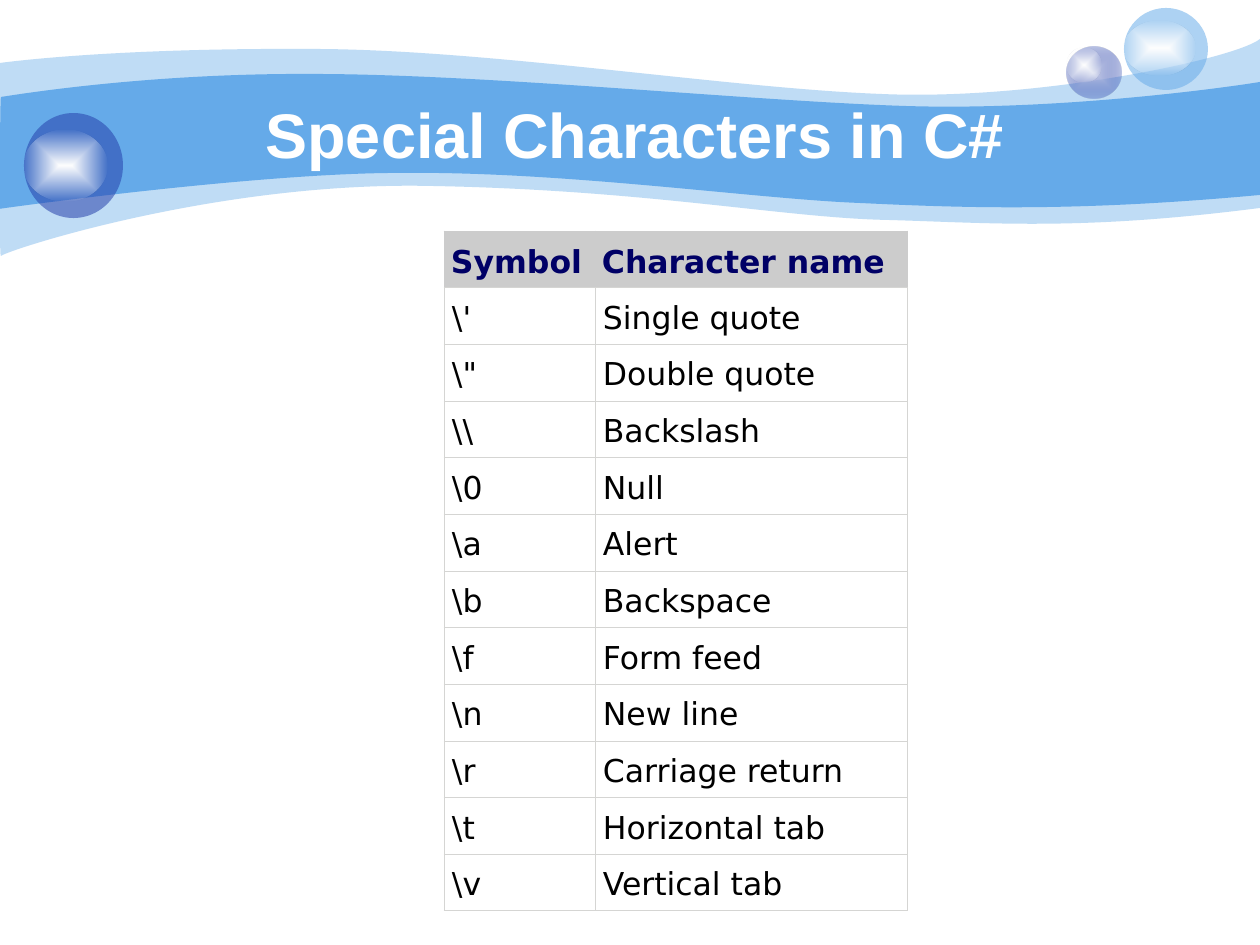
import pptx
import pptx.dml.color
import pptx.enum.shapes
import pptx.enum.text
import pptx.oxml.ns
import pptx.util
from lxml import etree

RGBColor = pptx.dml.color.RGBColor
qn = pptx.oxml.ns.qn
ANCHOR = pptx.enum.text.MSO_ANCHOR

SKY = RGBColor(0x65, 0xAA, 0xE9)
ROYAL = RGBColor(0x23, 0x3D, 0xA9)
LAVENDER = RGBColor(0xC7, 0xCE, 0xE9)
WHITE = RGBColor(0xFF, 0xFF, 0xFF)
BLACK = RGBColor(0x00, 0x00, 0x00)
NAVY = RGBColor(0x00, 0x00, 0x66)
HEADER_GREY = RGBColor(0xCC, 0xCC, 0xCC)
RULE_GREY = RGBColor(0xD5, 0xD5, 0xD3)

# Content
TITLE = "Special Characters in C#"
ROWS = [
    ("Symbol", "Character name"),
    (r"\'", "Single quote"),
    (r"\"", "Double quote"),
    (r"\\", "Backslash"),
    (r"\0", "Null"),
    (r"\a", "Alert"),
    (r"\b", "Backspace"),
    (r"\f", "Form feed"),
    (r"\n", "New line"),
    (r"\r", "Carriage return"),
    (r"\t", "Horizontal tab"),
    (r"\v", "Vertical tab"),
]

# Waves: opacity, start point, then curves (three points) and lines (one point)
WAVES = [
    (41, (0, 63), [
        [(30, 59), (135, 48), (311, 49)],
        [(486, 49), (725, 88), (881, 94)],
        [(1036, 101), (1235, 59), (1260, 39)],
        [(1260, 208)],
        [(1081, 231), (992, 223), (888, 220)],
        [(784, 218), (649, 190), (432, 186)],
        [(217, 181), (5, 251), (1, 256)],
        [(-1, 262), (0, 94), (0, 63)],
    ]),
    (100, (1, 97), [
        [(3, 97), (139, 73), (312, 74)],
        [(486, 74), (750, 101), (905, 106)],
        [(1060, 111), (1230, 87), (1260, 82)],
        [(1260, 195)],
        [(1075, 212), (964, 208), (859, 203)],
        [(755, 199), (563, 171), (399, 173)],
        [(256, 173), (-3, 209), (-1, 209)],
        [(0, 209), (0, 97), (1, 97)],
    ]),
]

# Bubbles: body box, highlight box, body fill as (colour, opacity) stops
BUBBLES = [
    ((1067, 47, 54, 52), (1067, 48, 35, 34), [(LAVENDER, 100), (ROYAL, 31)]),
    ((1124, 8, 84, 82), (1124, 21, 71, 54), [(SKY, 53)]),
    ((24, 113, 99, 105), (24, 130, 83, 71), [(ROYAL, 53)]),
]
GLOW = [(WHITE, 100), (WHITE, 0)]

TITLE_BOX = (126, 94, 1018, 78)
TABLE_BOX = (444, 231, 463, 680)
COLUMNS = (151, 312)
INSET = 7
SCALE = 914400 / 126


def px(value):
    return pptx.util.Emu(round(value * SCALE))


def place(box):
    return [px(value) for value in box]


def paint(shape, stops):
    """Fill with one colour, or with a gradient running out from the centre."""
    shape.shadow.inherit = False
    shape.line.fill.background()
    if len(stops) == 1:
        shape.fill.solid()
        colors = [shape.fill.fore_color]
    else:
        shape.fill.gradient()
        colors = [stop.color for stop in shape.fill.gradient_stops]
        gradient = shape._element.spPr.find(qn("a:gradFill"))
        gradient.remove(gradient.find(qn("a:lin")))
        spread = etree.SubElement(gradient, qn("a:path"), path="rect")
        etree.SubElement(spread, qn("a:fillToRect"),
                         {side: "50000" for side in "ltrb"})
    for color, (rgb, _) in zip(colors, stops):
        color.rgb = rgb
    tags = list(shape._element.spPr.iter(qn("a:srgbClr")))
    for tag, (_, opacity) in zip(tags, stops):
        if opacity < 100:
            etree.SubElement(tag, qn("a:alpha"), val=str(opacity * 1000))


def add_wave(page, start, segments):
    """Freeform whose three-point segments become cubic curves."""
    builder = page.shapes.build_freeform(*start, scale=SCALE)
    for segment in segments:
        builder.add_line_segments(segment, close=segment is segments[-1])
    wave = builder.convert_to_shape()
    lines = iter(list(wave._element.spPr.iter(qn("a:lnTo"))))
    for segment in segments:
        steps = [next(lines) for _ in segment]
        if len(steps) == 3:
            curve = etree.Element(qn("a:cubicBezTo"))
            steps[0].addprevious(curve)
            for step in steps:
                curve.append(step[0])
                step.getparent().remove(step)
    return wave


def add_text(para, text, size, font, color, bold):
    span = para.add_run()
    span.text = text
    span.font.size = pptx.util.Pt(size)
    span.font.name = font
    span.font.bold = bold
    span.font.color.rgb = color


def add_borders(cell, colors):
    properties = cell._tc.get_or_add_tcPr()
    for side, color in zip("LRTB", colors):
        line = etree.SubElement(properties, qn("a:ln" + side),
                                w=str(pptx.util.Pt(0.45)))
        solid = etree.SubElement(line, qn("a:solidFill"))
        etree.SubElement(solid, qn("a:srgbClr"), val=str(color))


def format_cell(cell, text, header):
    edge = HEADER_GREY if header else RULE_GREY
    add_borders(cell, (edge, edge, edge, RULE_GREY))
    cell.fill.solid()
    cell.fill.fore_color.rgb = HEADER_GREY if header else WHITE
    cell.margin_left = cell.margin_right = px(INSET)
    cell.margin_top = cell.margin_bottom = px(INSET)
    cell.vertical_anchor = ANCHOR.BOTTOM if header else ANCHOR.TOP
    para = cell.text_frame.paragraphs[0]
    para.line_spacing = 1.15
    if not header:
        para._p.get_or_add_pPr().set("marL", str(px(1)))
    add_text(para, text, 18, "DejaVu Sans", NAVY if header else BLACK, header)


def main():
    deck = pptx.Presentation()
    deck.slide_width, deck.slide_height = px(1260), px(945)
    page = deck.slides.add_slide(deck.slide_layouts[5])

    # Waves across the top
    for opacity, start, segments in WAVES:
        paint(add_wave(page, start, segments), [(SKY, opacity)])

    # Bubbles with their highlights
    oval = pptx.enum.shapes.MSO_SHAPE.OVAL
    for body, highlight, stops in BUBBLES:
        for box, fill in ((body, stops), (highlight, GLOW)):
            paint(page.shapes.add_shape(oval, *place(box)), fill)

    # Title, brought in front of the waves
    title = page.shapes.title
    title._element.getparent().append(title._element)
    title.left, title.top, title.width, title.height = place(TITLE_BOX)
    frame = title.text_frame
    frame.auto_size = pptx.enum.text.MSO_AUTO_SIZE.NONE
    frame.vertical_anchor = ANCHOR.MIDDLE
    para = frame.paragraphs[0]
    para.alignment = pptx.enum.text.PP_ALIGN.CENTER
    add_text(para, TITLE, 36, "Arial", WHITE, True)

    # Table of escape sequences
    table = page.shapes.add_table(len(ROWS), len(COLUMNS), *place(TABLE_BOX)).table
    table.first_row = table.horz_banding = False
    for column, width in zip(table.columns, COLUMNS):
        column.width = px(width)
    for r, texts in enumerate(ROWS):
        table.rows[r].height = px(TABLE_BOX[3] / len(ROWS))
        for c, text in enumerate(texts):
            format_cell(table.cell(r, c), text, header=r == 0)

    deck.save("out.pptx")


if __name__ == "__main__":
    main()
